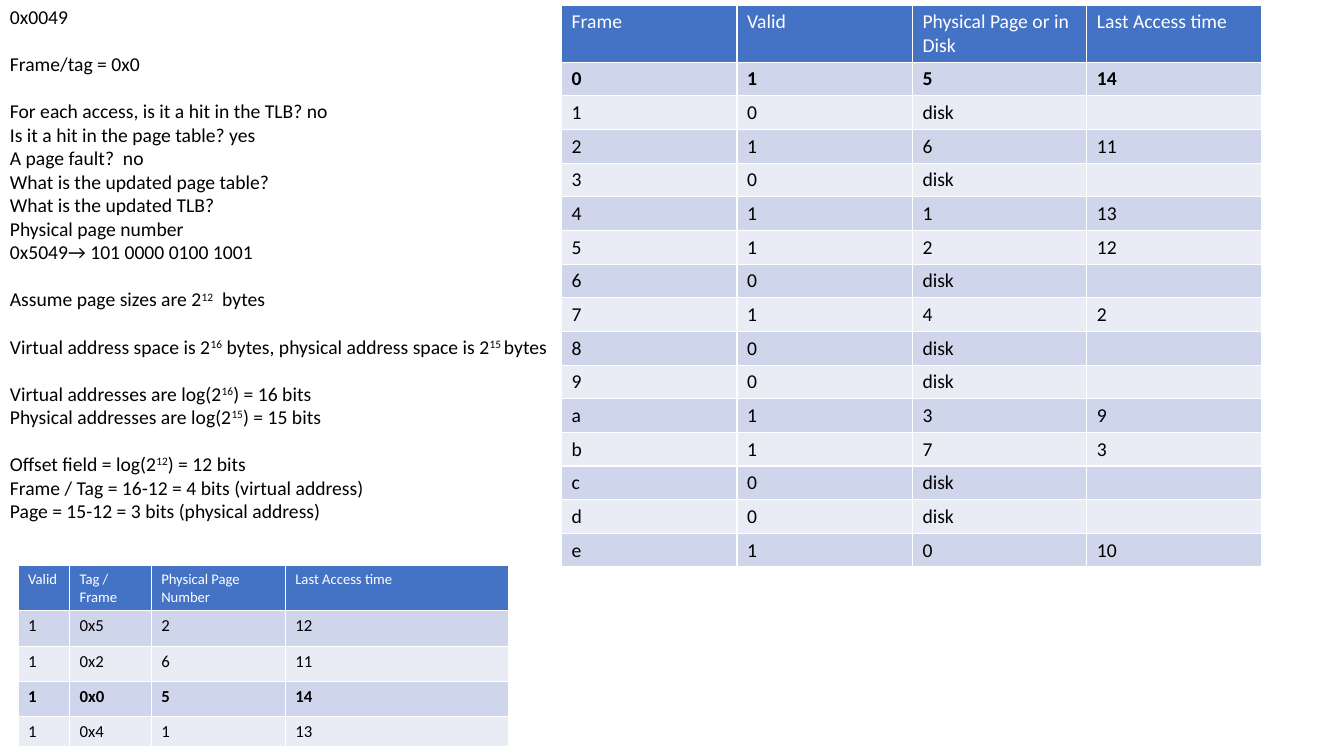
import pptx
import pptx.dml.color
import pptx.enum.text
import pptx.util
from lxml import etree
from pptx.oxml.ns import qn

Inches = pptx.util.Inches
Pt = pptx.util.Pt
RGBColor = pptx.dml.color.RGBColor

BLACK = RGBColor(0x00, 0x00, 0x00)
WHITE = RGBColor(0xFF, 0xFF, 0xFF)
HEADER_BLUE = RGBColor(0x44, 0x72, 0xC4)
DARK_BAND = RGBColor(0xCF, 0xD5, 0xEA)
LIGHT_BAND = RGBColor(0xE9, 0xEB, 0xF5)

# Groups of lines; exponents stand between carets.
NOTES = [
    ["0x0049"],
    ["Frame/tag = 0x0"],
    ["For each access, is it a hit in the TLB? no",
     "Is it a hit in the page table? yes",
     "A page fault?  no",
     "What is the updated page table?",
     "What is the updated TLB?",
     "Physical page number",
     "0x5049→ 101 0000 0100 1001"],
    ["Assume page sizes are 2^12^  bytes"],
    ["Virtual address space is 2^16^ bytes, physical address space is 2^15 ^bytes"],
    ["Virtual addresses are log(2^16^) = 16 bits",
     "Physical addresses are log(2^15^) = 15 bits"],
    ["Offset field = log(2^12^) = 12 bits",
     "Frame / Tag = 16-12 = 4 bits (virtual address)",
     "Page = 15-12 = 3 bits (physical address)"],
]

TLB = [
    ("Valid", "Tag / Frame", "Physical Page Number", "Last Access time"),
    ("1", "0x5", "2", "12"),
    ("1", "0x2", "6", "11"),
    ("1", "0x0", "5", "14"),
    ("1", "0x4", "1", "13"),
]

# Frame -> (physical page, last access time); every other frame is on disk.
RESIDENT_PAGES = {
    "0": ("5", "14"), "2": ("6", "11"), "4": ("1", "13"), "5": ("2", "12"),
    "7": ("4", "2"), "a": ("3", "9"), "b": ("7", "3"), "e": ("0", "10"),
}


def page_table_rows():
    rows = [("Frame", "Valid", "Physical Page or in Disk", "Last Access time")]
    for frame in "0123456789abcde":
        if frame in RESIDENT_PAGES:
            rows.append((frame, "1", *RESIDENT_PAGES[frame]))
        else:
            rows.append((frame, "0", "disk", ""))
    return rows


class SlideBuilder:
    font_name = "Calibri"
    blank_line = Pt(16.8)

    def __init__(self, slide):
        self.slide = slide

    def style_run(self, run, size, color, bold=False):
        run.font.name = self.font_name
        run.font.size = Pt(size)
        run.font.bold = bold
        run.font.color.rgb = color

    def notes(self, left, top, width, height, groups, size):
        """Write groups of lines, one blank line apart, with raised exponents."""
        box = self.slide.shapes.add_textbox(
            Inches(left), Inches(top), Inches(width), Inches(height))
        frame = box.text_frame
        frame.word_wrap = True
        frame.auto_size = pptx.enum.text.MSO_AUTO_SIZE.SHAPE_TO_FIT_TEXT
        lines = [(line, group_index > 0 and line_index == 0)
                 for group_index, group in enumerate(groups)
                 for line_index, line in enumerate(group)]
        for index, (line, starts_group) in enumerate(lines):
            paragraph = frame.add_paragraph() if index else frame.paragraphs[0]
            if starts_group:
                paragraph.space_before = self.blank_line
            for part_index, part in enumerate(line.split("^")):
                if not part:
                    continue
                run = paragraph.add_run()
                run.text = part
                self.style_run(run, size, BLACK)
                if part_index % 2:
                    run.font._element.set("baseline", "30000")

    def table(self, left, top, widths, heights, rows, header_size, body_size, bold_row):
        shape = self.slide.shapes.add_table(
            len(rows), len(widths), Inches(left), Inches(top),
            Inches(sum(widths)), Inches(sum(heights)))
        table = shape.table
        for column, width in zip(table.columns, widths):
            column.width = Inches(width)
        for row_index, (values, height) in enumerate(zip(rows, heights)):
            table.rows[row_index].height = Inches(height)
            if row_index == 0:
                fill, color, size = HEADER_BLUE, WHITE, header_size
            else:
                fill = DARK_BAND if row_index % 2 else LIGHT_BAND
                color, size = BLACK, body_size
            for column_index, value in enumerate(values):
                cell = table.cell(row_index, column_index)
                cell.fill.solid()
                cell.fill.fore_color.rgb = fill
                self.cell_text(cell, value, size, color, row_index == bold_row)

    def cell_text(self, cell, value, size, color, bold):
        paragraph = cell.text_frame.paragraphs[0]
        if value:
            paragraph.text = value
            self.style_run(paragraph.runs[0], size, color, bold)
        else:
            # The end mark's size keeps an empty cell from stretching its row.
            end_mark = etree.SubElement(paragraph._p, qn("a:endParaRPr"))
            end_mark.set("sz", str(size * 100))


def main():
    presentation = pptx.Presentation()
    presentation.slide_width = Inches(13.33)
    presentation.slide_height = Inches(7.5)
    builder = SlideBuilder(presentation.slides.add_slide(presentation.slide_layouts[6]))

    builder.notes(0, 0, 5.57, 5.52, NOTES, size=14)
    builder.table(0.18, 5.61, [0.51, 0.81, 1.33, 2.22], [0.45, 0.35, 0.35, 0.35, 0.3],
                  TLB, header_size=10.5, body_size=12, bold_row=3)
    page_table = page_table_rows()
    builder.table(5.57, 0.05, [1.74, 1.74, 1.73, 1.73],
                  [0.56] + [0.33] * (len(page_table) - 1),
                  page_table, header_size=14, body_size=14, bold_row=1)

    presentation.save("out.pptx")


if __name__ == "__main__":
    main()
